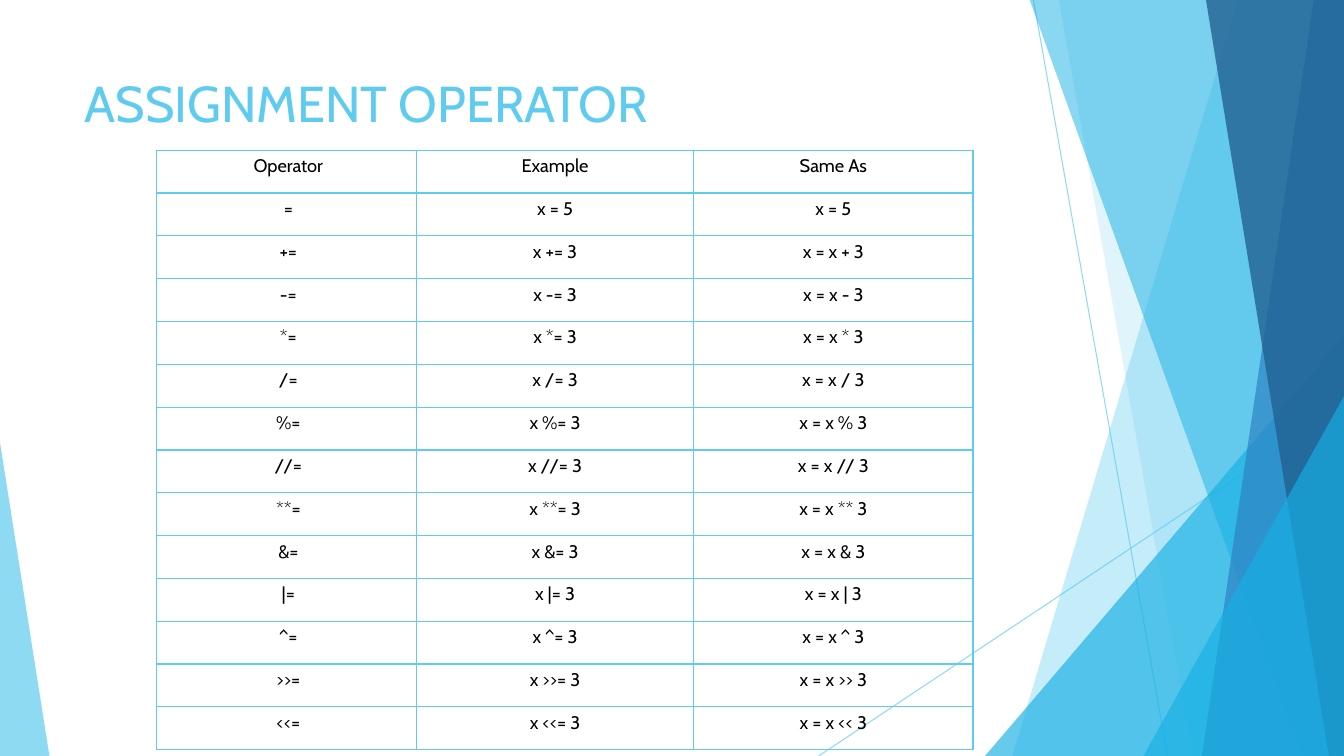
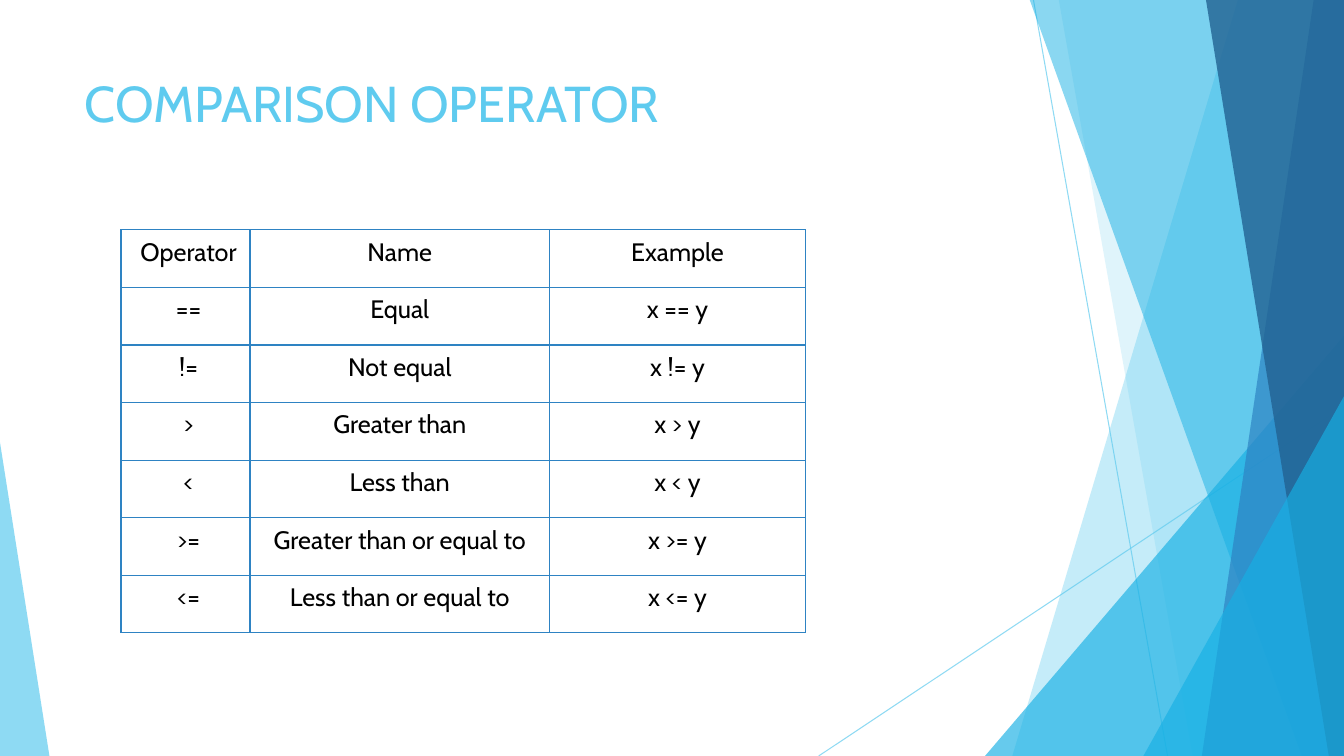
from lxml import etree
from pptx import Presentation
from pptx.dml.color import RGBColor
from pptx.enum import shapes, text
from pptx.oxml import ns
from pptx.util import Pt

PX = 9144  # EMU in one px, 100 px to the inch
WIDTH, HEIGHT = 1333, 750
FONT = "Cabin"
COLORS = {"sky": "5FCBEF", "cyan": "17B0E4", "blue": "2E83C3",
          "navy": "226292", "black": "000000"}

# Content
ASSIGNMENT = ["=", "+=", "-=", "*=", "/=", "%=", "//=", "**=", "&=", "|=", "^=", ">>=", "<<="]
COMPARISON = [("==", "Equal"), ("!=", "Not equal"), (">", "Greater than"),
              ("<", "Less than"), (">=", "Greater than or equal to"),
              ("<=", "Less than or equal to")]


def assignment_row(op):
    if op == "=":
        return op, "x = 5", "x = 5"
    return op, f"x {op} 3", f"x = x {op[:-1]} 3"


SLIDES = [
    {"title": "ASSIGNMENT OPERATOR", "title_height": 93,
     "rows": [("Operator", "Example", "Same As")] + [assignment_row(op) for op in ASSIGNMENT],
     "at": (155, 149), "cols": (258, 275, 277), "height": 595,
     "size": 13, "border": "sky", "margin": 5, "first_margin": 9},
    {"title": "COMPARISON OPERATOR", "title_height": 144,
     "rows": [("Operator", "Name", "Example")]
             + [(op, name, f"x {op} y") for op, name in COMPARISON],
     "at": (120, 228), "cols": (128, 297, 254), "height": 400,
     "size": 18, "border": "blue", "margin": 7, "first_margin": 13},
]

# Backdrop: hairlines run between two points, bands reach the right edge
# from a slanted left side, wedges are triangles with a shifted tip
HAIRLINES = [(1025, 0, 1158, 750), (1333, 403, 812, 750)]
FACETS = [  # kind, geometry, colour, opacity in percent
    ("band", (1228, 1004), "sky", 36),
    ("band", (1050, 1183), "sky", 20),
    ("wedge", (977, 333, 356, 417, 1), "cyan", 66),
    ("band", (1021, 1291), "cyan", 50),
    ("band", (1303, 1192), "blue", 70),
    ("band", (1196, 1318), "navy", 80),
    ("wedge", (1134, 393, 199, 357, 1), "cyan", 66),
    ("wedge", (0, 439, 49, 311, 0), "sky", 70),
]


def px(*values):
    return [round(v * PX) for v in values]


def rgb(name):
    return RGBColor.from_string(COLORS[name])


def set_opacity(parent, percent):
    color = parent.find(".//" + ns.qn("a:srgbClr"))
    etree.SubElement(color, ns.qn("a:alpha"), val=str(percent * 1000))


def add_hairline(slide, ends):
    line = slide.shapes.add_connector(shapes.MSO_CONNECTOR.STRAIGHT, *px(*ends))
    line.line.color.rgb = rgb("sky")
    line.line.width = Pt(0.75)
    props = line._element.spPr
    set_opacity(props, 70)
    etree.SubElement(props, ns.qn("a:effectLst"))
    return line


def add_facet(slide, kind, geometry, color, opacity):
    if kind == "band":
        top, bottom = geometry
        outline = slide.shapes.build_freeform(top, -1, scale=PX)
        outline.add_line_segments([(WIDTH, -1), (WIDTH, HEIGHT), (bottom, HEIGHT)], close=True)
        sp = outline.convert_to_shape()
    else:
        *box, tip = geometry
        sp = slide.shapes.add_shape(shapes.MSO_SHAPE.ISOSCELES_TRIANGLE, *px(*box))
        sp.adjustments[0] = tip
    sp.shadow.inherit = False
    sp.line.fill.background()
    sp.fill.solid()
    sp.fill.fore_color.rgb = rgb(color)
    set_opacity(sp._element.spPr, opacity)
    return sp


def move_backdrop_to_layout(slide, layout):
    """Draw the backdrop once and let every slide inherit it."""
    parts = [add_hairline(slide, ends) for ends in HAIRLINES]
    parts += [add_facet(slide, *facet) for facet in FACETS]
    for part in parts:
        layout.shapes.element.append(part._element)


def style_text(tf, size, color, align):
    p = tf.paragraphs[0]
    p.alignment = align
    for r in p.runs:
        r.font.name, r.font.size, r.font.bold = FONT, Pt(size), False
        r.font.color.rgb = rgb(color)


def add_title(slide, title, height):
    sp = slide.shapes.title
    sp.left, sp.top, sp.width, sp.height = px(74, 67, 940, height)
    tf = sp.text_frame
    tf.text = title
    tf.vertical_anchor = text.MSO_ANCHOR.TOP
    style_text(tf, 36, "sky", text.PP_ALIGN.LEFT)


def set_borders(cell, color):
    props = cell._tc.get_or_add_tcPr()
    for i, side in enumerate(("lnL", "lnR", "lnT", "lnB")):
        ln = etree.Element(ns.qn("a:" + side), w=str(Pt(1)))
        fill = etree.SubElement(ln, ns.qn("a:solidFill"))
        etree.SubElement(fill, ns.qn("a:srgbClr"), val=COLORS[color])
        props.insert(i, ln)


def add_operator_table(slide, data):
    rows, cols = data["rows"], data["cols"]
    frame = slide.shapes.add_table(len(rows), len(cols),
                                   *px(*data["at"], sum(cols), data["height"]))
    table = frame.table
    table.first_row = table.horz_banding = False
    for column, width in zip(table.columns, px(*cols)):
        column.width = width
    for i, row in enumerate(rows):
        table.rows[i].height = round(data["height"] * PX / len(rows))
        for j, value in enumerate(row):
            cell = table.cell(i, j)
            cell.text = value
            left = data["margin"] if j else data["first_margin"]
            cell.margin_left = left * PX
            cell.margin_right = cell.margin_top = cell.margin_bottom = data["margin"] * PX
            cell.fill.background()
            set_borders(cell, data["border"])
            style_text(cell.text_frame, data["size"], "black", text.PP_ALIGN.CENTER)


def main():
    prs = Presentation()
    prs.slide_width, prs.slide_height = px(WIDTH, HEIGHT)
    layout = prs.slide_layouts.get_by_name("Title Only")
    for i, data in enumerate(SLIDES):
        slide = prs.slides.add_slide(layout)
        if i == 0:
            move_backdrop_to_layout(slide, layout)
        add_title(slide, data["title"], data["title_height"])
        add_operator_table(slide, data)
    prs.save("out.pptx")


if __name__ == "__main__":
    main()
